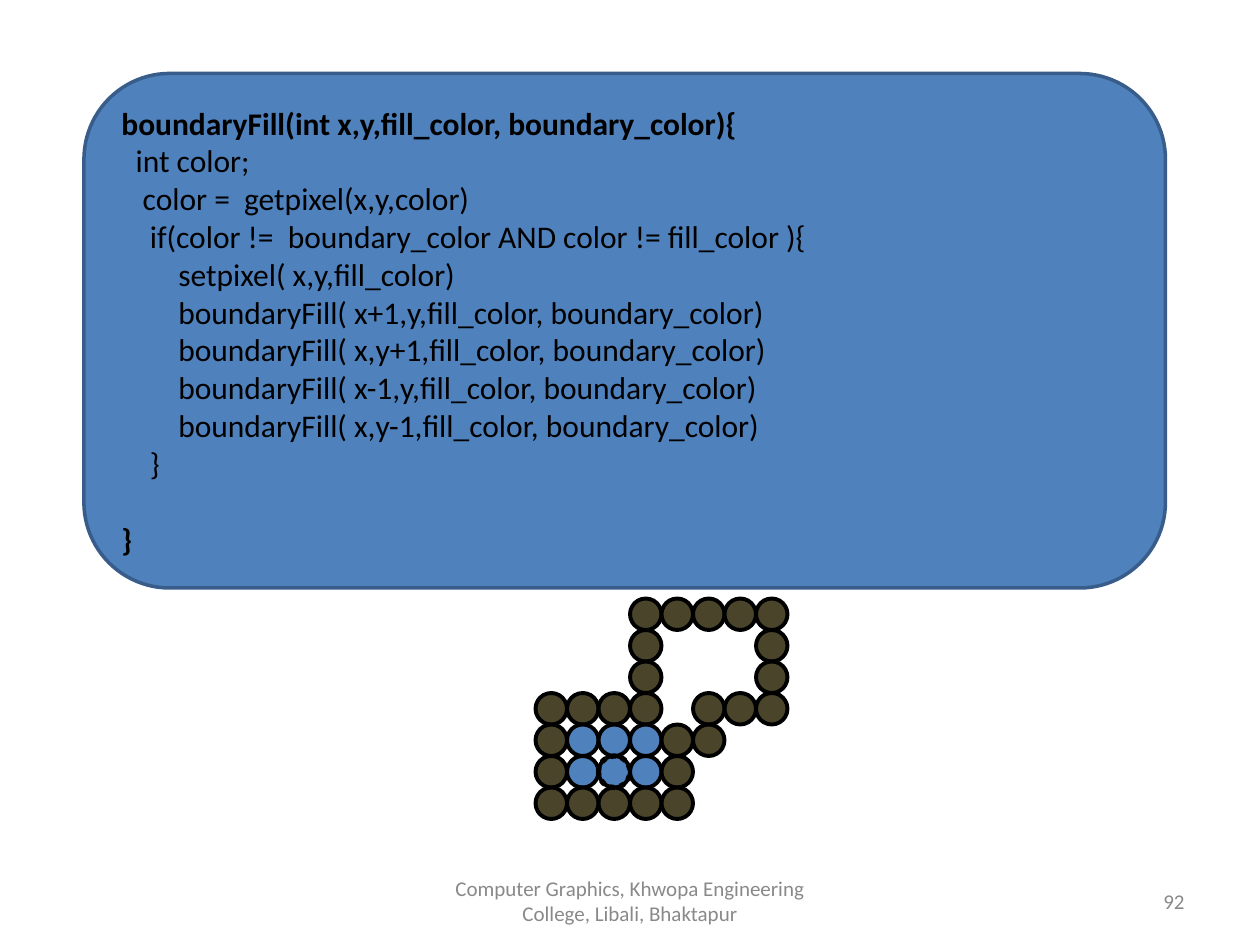
from pptx import Presentation
from pptx.dml.color import RGBColor
from pptx.enum.dml import MSO_LINE
from pptx.enum.shapes import MSO_SHAPE as Shape
from pptx.enum.text import MSO_ANCHOR as Anchor, PP_ALIGN as Align
from pptx.util import Inches, Pt

CODE = """boundaryFill(int x,y,fill_color, boundary_color){
  int color;
   color =  getpixel(x,y,color)
    if(color !=  boundary_color AND color != fill_color ){
        setpixel( x,y,fill_color)
        boundaryFill( x+1,y,fill_color, boundary_color)
        boundaryFill( x,y+1,fill_color, boundary_color)
        boundaryFill( x-1,y,fill_color, boundary_color)
        boundaryFill( x,y-1,fill_color, boundary_color)
    }
}""".split("\n")

# B is a boundary pixel, F a filled one
PIXELS = ["...BBBBB",
          "...B...B",
          "...B...B",
          "BBBB.BBB",
          "BFFFBB..",
          "BFFFB...",
          "BBBBB..."]
SEED = (2, 5)
PIXEL = 3
PIXELS_LEFT, PIXELS_TOP = 51, 57


def color(hex_code):
    return RGBColor.from_string(hex_code)


def unit(count):
    """Length of a number of grid steps, twelve to the inch."""
    return Inches(count / 12)


class SlideBuilder:
    FONT = "Calibri"
    BLUE, BLUE_EDGE = "4F81BD", "385D8A"
    BROWN, BLACK, GREY = "4A452A", "000000", "898989"

    def __init__(self, slide):
        self.slide = slide

    def outlined(self, preset, box, fill, edge, weight):
        shape = self.slide.shapes.add_shape(preset, *map(unit, box))
        shape.shadow.inherit = False
        if fill:
            shape.fill.solid()
            shape.fill.fore_color.rgb = color(fill)
        else:
            shape.fill.background()
        shape.line.color.rgb = color(edge)
        shape.line.width = Pt(weight)
        return shape

    def add_text(self, paragraph, text, size, ink, align, bold=False):
        paragraph.alignment = align
        run = paragraph.add_run()
        run.text = text
        font = run.font
        font.name, font.size, font.bold = self.FONT, Pt(size), bold
        font.color.rgb = color(ink)

    def code_panel(self, box, lines):
        panel = self.outlined(Shape.ROUNDED_RECTANGLE, box, self.BLUE, self.BLUE_EDGE, 2)
        frame = panel.text_frame
        frame.word_wrap = True
        frame.vertical_anchor = Anchor.MIDDLE
        last = len(lines) - 1
        for number, line in enumerate(lines):
            paragraph = frame.add_paragraph() if number else frame.paragraphs[0]
            self.add_text(paragraph, line, 18, self.BLACK, Align.LEFT, number in (0, last))
        paragraph.space_before = Pt(22)

    def footer(self, box, text, align):
        frame = self.slide.shapes.add_textbox(*map(unit, box)).text_frame
        frame.word_wrap = True
        frame.vertical_anchor = Anchor.MIDDLE
        self.add_text(frame.paragraphs[0], text, 12, self.GREY, align)

    def pixel(self, column, row, fill, weight=2.25):
        box = (PIXELS_LEFT + column * PIXEL, PIXELS_TOP + row * PIXEL, PIXEL, PIXEL)
        return self.outlined(Shape.OVAL, box, fill, self.BLACK, weight)

    def pixel_map(self, rows):
        fills = {"B": self.BROWN, "F": self.BLUE}
        for row, marks in enumerate(rows):
            for column, mark in enumerate(marks):
                if mark in fills:
                    self.pixel(column, row, fills[mark])

    def seed(self, column, row):
        ring = self.pixel(column, row, None, 3)
        ring.line.dash_style = MSO_LINE.ROUND_DOT


def main():
    deck = Presentation()
    deck.slide_width, deck.slide_height = Inches(10), Inches(7.5)
    builder = SlideBuilder(deck.slides.add_slide(deck.slide_layouts[6]))
    builder.code_panel((8, 7, 103, 49), CODE)
    builder.footer((86, 83.4, 28, 4.8), "92", Align.RIGHT)
    builder.footer((41, 83.4, 38, 4.8),
                   "Computer Graphics, Khwopa Engineering College, Libali, Bhaktapur",
                   Align.CENTER)
    builder.pixel_map(PIXELS)
    builder.seed(*SEED)
    deck.save("out.pptx")


if __name__ == "__main__":
    main()
